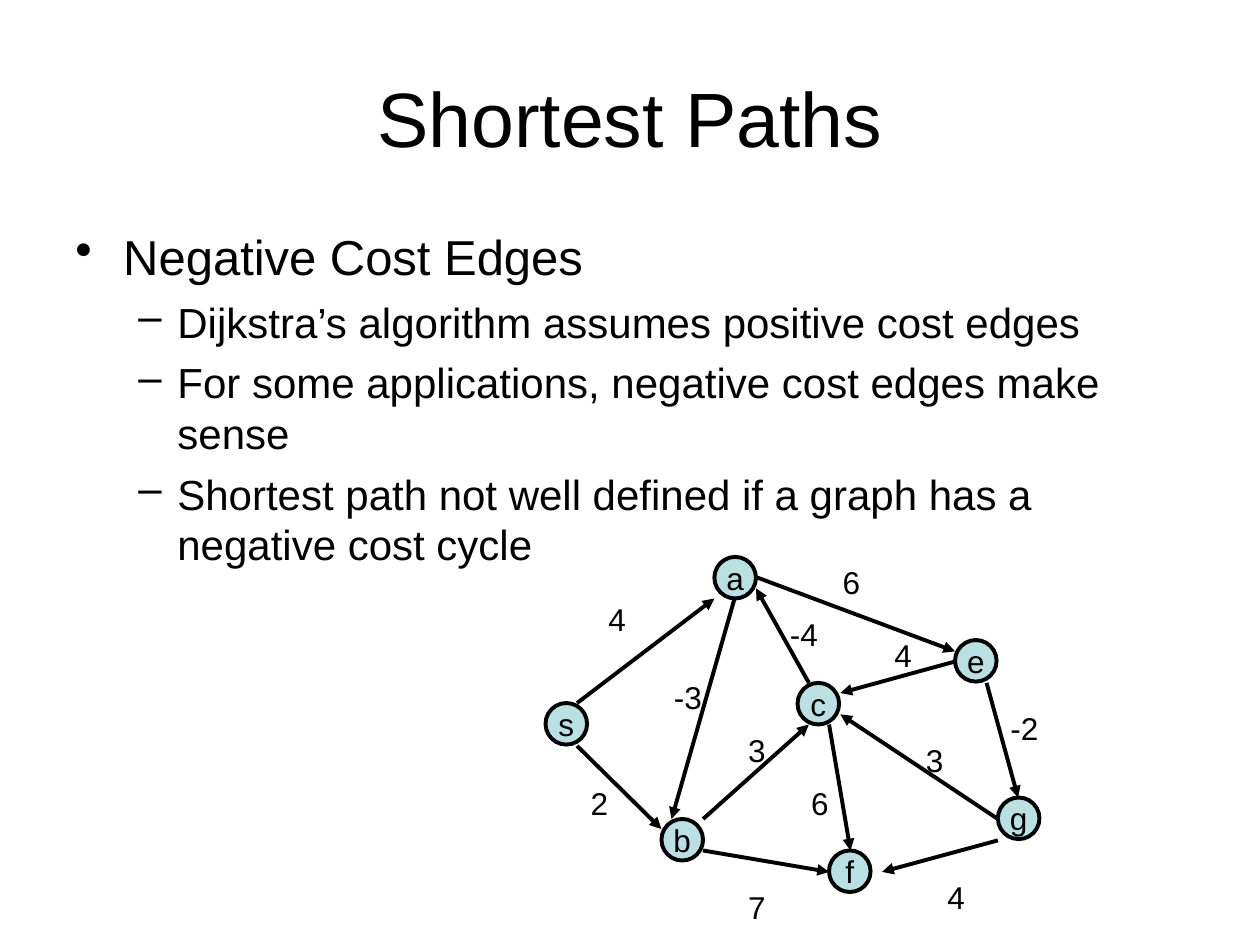
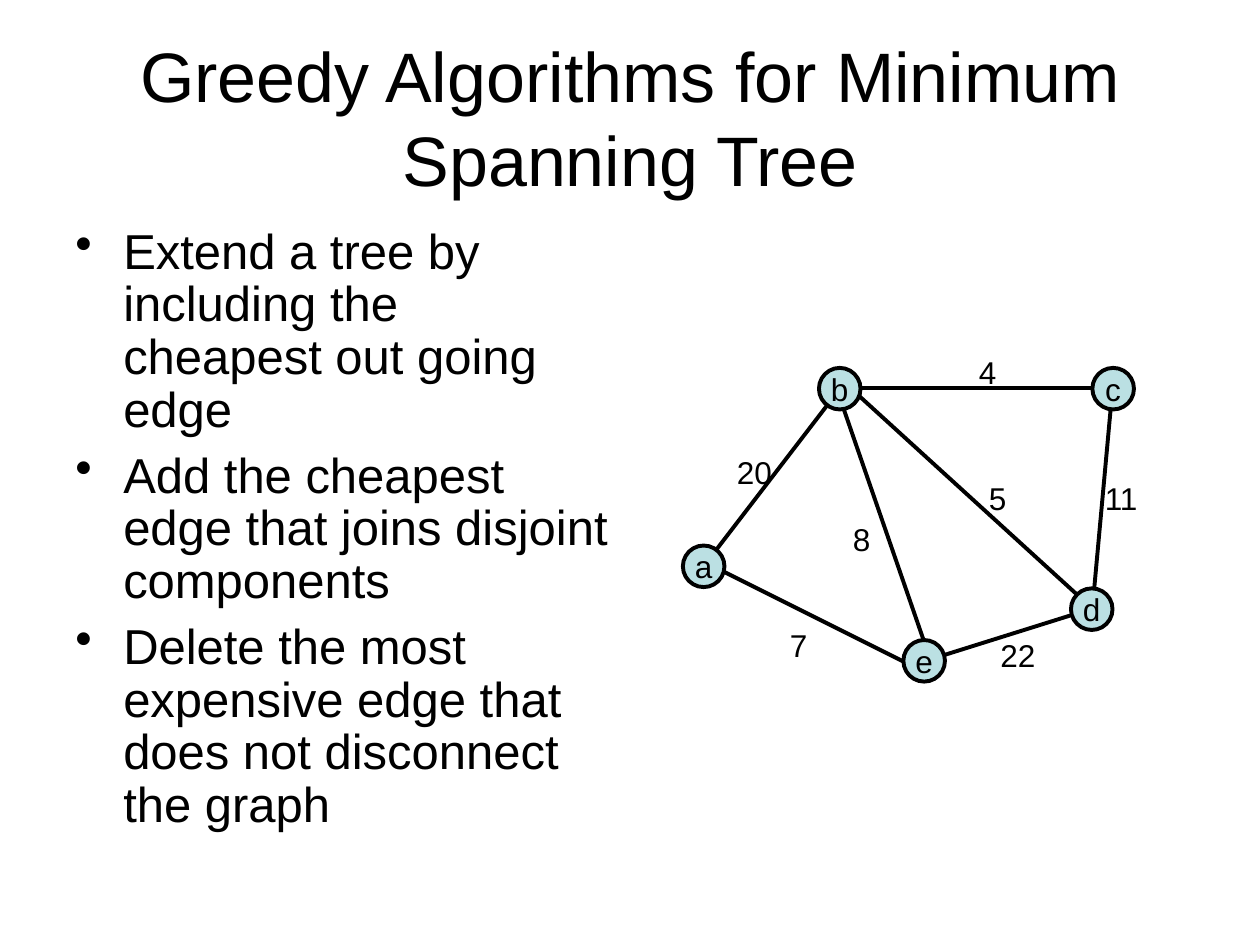
from typing import NamedTuple

from lxml import etree
from pptx import Presentation
from pptx.dml.color import RGBColor
from pptx.enum.shapes import MSO_CONNECTOR, MSO_SHAPE
from pptx.enum.text import MSO_ANCHOR, MSO_AUTO_SIZE, PP_ALIGN
from pptx.oxml.ns import qn
from pptx.slide import Slide
from pptx.util import Inches, Pt

BLACK = RGBColor(0x00, 0x00, 0x00)
PALE = RGBColor(0xBB, 0xE0, 0xE3)
FONT = "Arial"
LINE = MSO_CONNECTOR.STRAIGHT
OVAL = MSO_SHAPE.OVAL
MIDDLE = MSO_ANCHOR.MIDDLE
CENTER = PP_ALIGN.CENTER
NO_FIT = MSO_AUTO_SIZE.NONE
FIT_BOX = MSO_AUTO_SIZE.SHAPE_TO_FIT_TEXT
TITLE_ONLY = 5
STROKE = Pt(2.25)
NODE_SIZE = Inches(0.33)
NODE_PT = 18

Point = tuple[float, float]


class Level(NamedTuple):
    mark: str
    left: float
    hang: float
    size: int
    before: int


class Item(NamedTuple):
    text: str
    level: int = 0


class Node(NamedTuple):
    name: str
    left: float
    top: float


class Edge(NamedTuple):
    start: Point
    end: Point
    cost: str
    spot: Point  # top left of the cost label


class Graph(NamedTuple):
    nodes: list[Node]
    edges: list[Edge]
    arrows: bool


class Page(NamedTuple):
    title: str
    title_pt: int
    items: list[Item]
    width: float
    height: float
    spacing: float
    graph: Graph


LEVELS = [Level("•", 0.38, 0.38, 28, 7), Level("–", 0.81, 0.31, 24, 6)]

PATHS = Graph(
    nodes=[
        Node("a", 5.67, 4.42),
        Node("b", 5.25, 6.5),
        Node("c", 6.33, 5.42),
        Node("s", 4.33, 5.58),
        Node("e", 7.58, 5.08),
        Node("g", 7.92, 6.33),
        Node("f", 6.58, 6.75),
    ],
    edges=[
        Edge((4.58, 5.58), (5.67, 4.75), "4", (4.73, 4.71)),
        Edge((6, 4.58), (7.58, 5.17), "6", (6.59, 4.42)),
        Edge((6.42, 5.42), (6, 4.67), "-4", (6.17, 4.83)),
        Edge((5.58, 6.5), (6.42, 5.75), "3", (5.84, 5.75)),
        Edge((4.58, 5.92), (5.25, 6.58), "2", (4.59, 6.17)),
        Edge((5.83, 4.75), (5.33, 6.5), "-3", (5.25, 5.33)),
        Edge((5.58, 6.75), (6.58, 6.92), "7", (5.84, 7)),
        Edge((6.58, 5.75), (6.75, 6.75), "6", (6.34, 6.17)),
        Edge((7.58, 5.25), (6.67, 5.5), "4", (7, 5)),
        Edge((7.83, 5.42), (8.08, 6.33), "-2", (7.92, 5.58)),
        Edge((7.92, 6.5), (6.67, 5.67), "3", (7.25, 5.83)),
        Edge((7.92, 6.67), (7, 6.92), "4", (7.42, 6.92)),
    ],
    arrows=True,
)

TREE = Graph(
    nodes=[
        Node("a", 5.42, 4.33),
        Node("b", 6.5, 2.92),
        Node("c", 8.67, 2.92),
        Node("d", 8.5, 4.67),
        Node("e", 7.17, 5.08),
    ],
    edges=[
        Edge((6.67, 3.08), (5.58, 4.5), "20", (5.75, 3.55)),
        Edge((5.67, 4.5), (7.17, 5.25), "7", (6.17, 4.92)),
        Edge((6.67, 3.17), (7.33, 5.08), "8", (6.67, 4.08)),
        Edge((6.67, 3.08), (8.83, 3.08), "4", (7.67, 2.75)),
        Edge((8.83, 3.08), (8.67, 4.83), "11", (8.67, 3.75)),
        Edge((6.75, 3.08), (8.67, 4.83), "5", (7.75, 3.75)),
        Edge((7.33, 5.25), (8.67, 4.83), "22", (7.84, 5)),
    ],
    arrows=False,
)

PAGES = [
    Page(
        "Shortest Paths",
        44,
        [
            Item("Negative Cost Edges"),
            Item("Dijkstra’s algorithm assumes positive cost edges", 1),
            Item("For some applications, negative cost edges make sense", 1),
            Item("Shortest path not well defined if a graph has a "
                 "negative cost cycle", 1),
        ],
        9, 2.83, 1.0, PATHS,
    ),
    Page(
        "Greedy Algorithms for Minimum Spanning Tree",
        40,
        [
            Item("Extend a tree by including the cheapest out going edge"),
            Item("Add the cheapest edge that joins disjoint components"),
            Item("Delete the most expensive edge that does not disconnect "
                 "the graph"),
        ],
        4.42, 4.95, 0.9, TREE,
    ),
]


def set_font(para, size: int) -> None:
    font = para.font
    font.name = FONT
    font.size = Pt(size)
    font.color.rgb = BLACK


def add_title(slide: Slide, page: Page) -> None:
    title = slide.shapes.title
    title.left, title.top = Inches(0.5), Inches(0.3)
    title.width, title.height = Inches(9), Inches(1.25)
    frame = title.text_frame
    frame.text = page.title
    frame.auto_size = NO_FIT
    frame.vertical_anchor = MIDDLE
    para = frame.paragraphs[0]
    para.alignment = CENTER
    set_font(para, page.title_pt)


def add_list(slide: Slide, page: Page) -> None:
    box = slide.shapes.add_textbox(
        Inches(0.5), Inches(1.75), Inches(page.width), Inches(page.height))
    frame = box.text_frame
    frame.word_wrap = True
    for i, item in enumerate(page.items):
        para = frame.add_paragraph() if i else frame.paragraphs[0]
        level = LEVELS[item.level]
        para.text = item.text
        para.level = item.level
        props = para._p.get_or_add_pPr()
        props.set("marL", str(Inches(level.left)))
        props.set("indent", str(-Inches(level.hang)))
        etree.SubElement(props, qn("a:buChar"), char=level.mark)
        para.line_spacing = page.spacing
        para.space_before = Pt(level.before if i else 0)
        set_font(para, level.size)


def add_edge(slide: Slide, edge: Edge, arrow: bool) -> None:
    ends = [Inches(v) for v in edge.start + edge.end]
    link = slide.shapes.add_connector(LINE, *ends)
    link.line.color.rgb = BLACK
    link.line.width = STROKE
    if arrow:
        etree.SubElement(
            link.line._get_or_add_ln(), qn("a:tailEnd"), type="triangle")
    etree.SubElement(link._element.spPr, qn("a:effectLst"))


def add_cost(slide: Slide, edge: Edge) -> None:
    left, top = edge.spot
    width = 0.2 + sum(0.08 if c == "-" else 0.14 for c in edge.cost)
    box = slide.shapes.add_textbox(
        Inches(left), Inches(top), Inches(width), Inches(0.4))
    frame = box.text_frame
    frame.text = edge.cost
    frame.word_wrap = False
    frame.auto_size = FIT_BOX
    set_font(frame.paragraphs[0], NODE_PT)


def add_node(slide: Slide, node: Node) -> None:
    oval = slide.shapes.add_shape(
        OVAL, Inches(node.left), Inches(node.top), NODE_SIZE, NODE_SIZE)
    oval.shadow.inherit = False
    oval.fill.solid()
    oval.fill.fore_color.rgb = PALE
    oval.line.color.rgb = BLACK
    oval.line.width = STROKE
    frame = oval.text_frame
    frame.text = node.name
    frame.word_wrap = False
    frame.vertical_anchor = MIDDLE
    para = frame.paragraphs[0]
    para.alignment = CENTER
    set_font(para, NODE_PT)


def add_graph(slide: Slide, graph: Graph) -> None:
    for edge in graph.edges:
        add_edge(slide, edge, graph.arrows)
    for edge in graph.edges:
        add_cost(slide, edge)
    for node in graph.nodes:
        add_node(slide, node)


def main() -> None:
    deck = Presentation()
    deck.slide_width, deck.slide_height = Inches(10), Inches(7.5)
    for page in PAGES:
        slide = deck.slides.add_slide(deck.slide_layouts[TITLE_ONLY])
        add_title(slide, page)
        add_list(slide, page)
        add_graph(slide, page.graph)
    deck.save("out.pptx")


if __name__ == "__main__":
    main()
